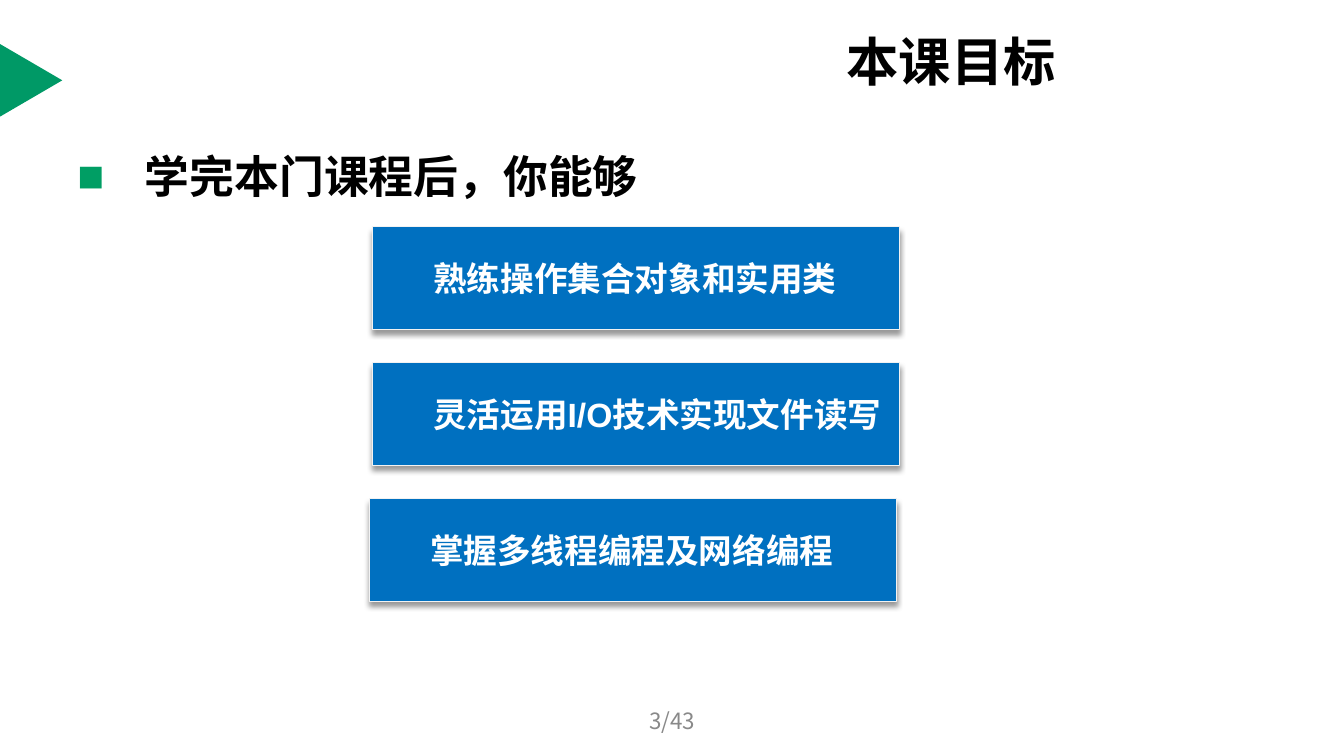
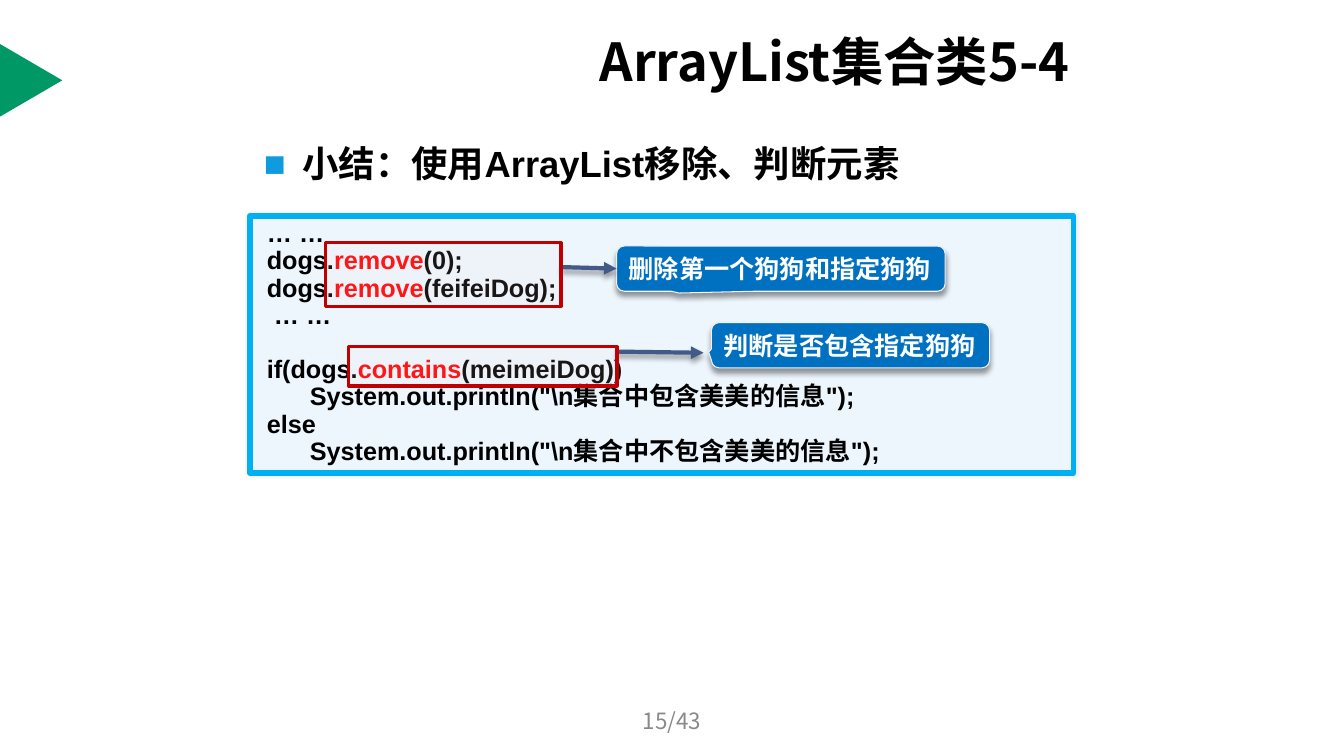
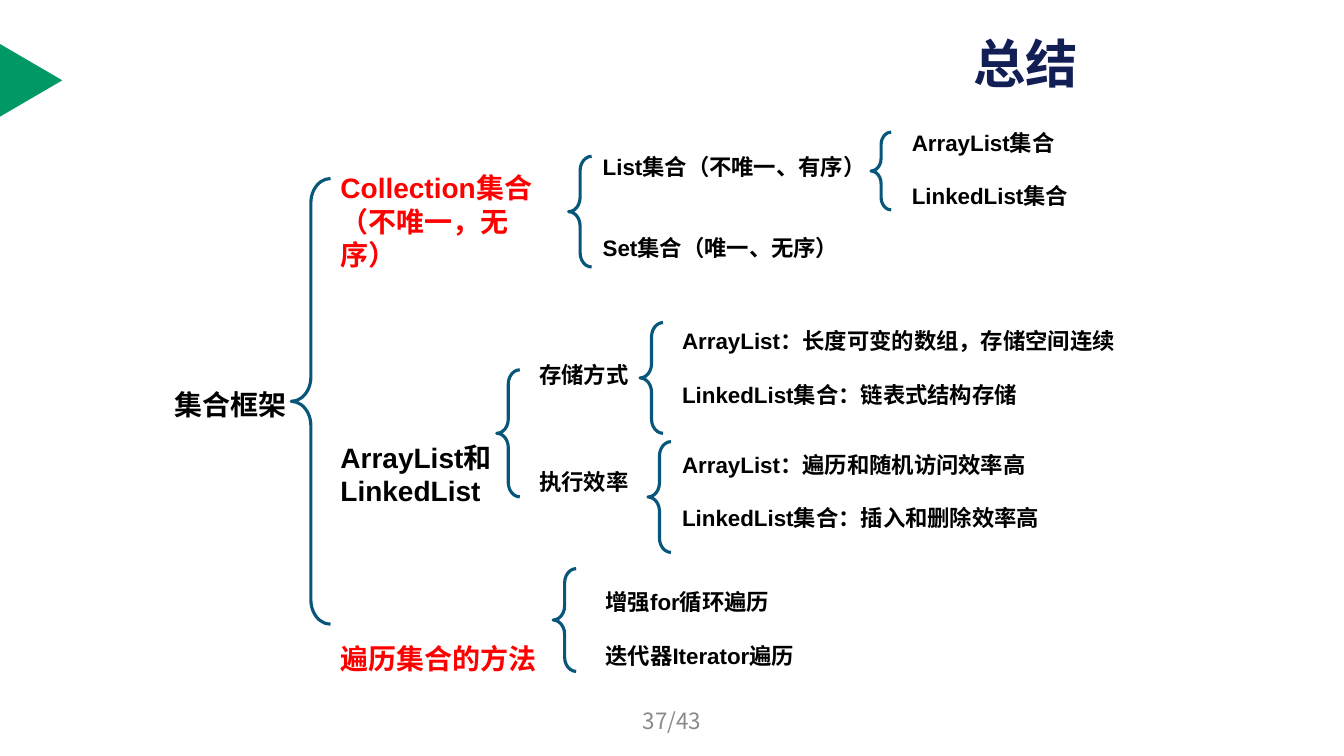
import dataclasses

import pptx
import pptx.dml.color
import pptx.enum.shapes
import pptx.enum.text
import pptx.oxml
import pptx.oxml.ns
import pptx.util

Cm = pptx.util.Cm
Pt = pptx.util.Pt
SHAPE = pptx.enum.shapes.MSO_SHAPE
ANCHOR = pptx.enum.text.MSO_ANCHOR
ALIGN = pptx.enum.text.PP_ALIGN
qn = pptx.oxml.ns.qn


@dataclasses.dataclass(frozen=True)
class Theme:
    head: str = "Noto Sans CJK SC"
    body: str = "Arial"
    black: str = "000000"
    white: str = "FFFFFF"
    grey: str = "898989"
    pale: str = "F2F2F2"
    navy: str = "121F55"
    blue: str = "0070C0"
    sky: str = "00B0F0"
    ice: str = "EDF5FD"
    steel: str = "415A86"
    brace: str = "08577A"
    red: str = "FF0000"
    frame: str = "C00000"
    blush: str = "FFDDDD"
    green: str = "009966"
    mark: str = "009E64"
    azure: str = "0E9CDE"
    title_size: float = 37.4
    lead_size: float = 32
    topic_size: float = 26
    box_size: float = 24
    node_size: float = 20
    code_size: float = 18
    leaf_size: float = 16


THEME = Theme()
TOTAL = 43


def rgb(code):
    return pptx.dml.color.RGBColor.from_string(code)


def child(parent, tag, **attrs):
    item = parent.makeelement(qn(tag), attrs)
    parent.append(item)
    return item


def style(para, size, color=THEME.black, font=THEME.body, bold=True):
    """Set one font on a paragraph, for Latin and East Asian text alike."""
    para.font.size = Pt(size)
    para.font.bold = bold
    para.font.name = font
    para.font.color.rgb = rgb(color)
    child(para.font._element, "a:ea", typeface=font)


def indent(para, left, first):
    props = para._p.get_or_add_pPr()
    props.set("marL", str(Cm(left)))
    props.set("indent", str(Cm(first)))


def bullet(para, color, left):
    indent(para, left, -left)
    props = para._p.get_or_add_pPr()
    child(child(props, "a:buClr"), "a:srgbClr", val=color)
    child(props, "a:buFont", typeface=THEME.body)
    child(props, "a:buChar", char="■")


def shade(item, alpha=40, blur=4, dist=3, angle=90):
    """Give a shape or connector an outer shadow; lengths are in points."""
    props = item._element.spPr
    effects = props.find(qn("a:effectLst"))
    if effects is None:
        effects = child(props, "a:effectLst")
    cast = child(effects, "a:outerShdw", blurRad=str(Pt(blur)), dist=str(Pt(dist)),
                 dir=str(angle * 60000), algn="ctr", rotWithShape="0")
    tint = child(cast, "a:srgbClr", val=THEME.black)
    child(tint, "a:alpha", val=str(alpha * 1000))


def add_form(slide, kind, place, fill=None, line=None, width=0.75, adjust=()):
    form = slide.shapes.add_shape(kind, *map(Cm, place))
    form.shadow.inherit = False
    if fill:
        form.fill.solid()
        form.fill.fore_color.rgb = rgb(fill)
    else:
        form.fill.background()
    if line:
        form.line.color.rgb = rgb(line)
        form.line.width = Pt(width)
    else:
        form.line.fill.background()
    for index, value in enumerate(adjust):
        form.adjustments[index] = value
    return form


def add_text(slide, place, text, anchor=ANCHOR.TOP):
    """Add a wrapping text box and return its first paragraph."""
    frame = slide.shapes.add_textbox(*map(Cm, place)).text_frame
    frame.word_wrap = True
    frame.vertical_anchor = anchor
    frame.text = text
    return frame.paragraphs[0]


def add_point(slide, place, text, size, color, left, font):
    para = add_text(slide, place, text)
    bullet(para, color, left)
    style(para, size, font=font)
    return para


def add_box(slide, kind, place, text, size, adjust=()):
    """Add a blue box with a shadow; return the shape and its paragraph."""
    box = add_form(slide, kind, place, THEME.blue, THEME.pale, adjust=adjust)
    shade(box)
    frame = box.text_frame
    frame.vertical_anchor = ANCHOR.MIDDLE
    frame.text = text
    para = frame.paragraphs[0]
    para.alignment = ALIGN.LEFT
    style(para, size, THEME.white)
    return box, para


def add_call(slide, place, text, adjust):
    box, _ = add_box(slide, SHAPE.ROUNDED_RECTANGULAR_CALLOUT, place, text,
                     THEME.code_size, adjust)
    box.text_frame.word_wrap = False
    return box


def add_arrow(slide, start, end, target=None):
    arrow = slide.shapes.add_connector(pptx.enum.shapes.MSO_CONNECTOR.STRAIGHT,
                                       *map(Cm, start + end))
    if target is not None:
        arrow.end_connect(target, 1)
    arrow.line.color.rgb = rgb(THEME.steel)
    arrow.line.width = Pt(3)
    child(arrow.line._get_or_add_ln(), "a:tailEnd", type="triangle")
    shade(arrow)


def add_frame(slide, place):
    frame = add_form(slide, SHAPE.RECTANGLE, place, THEME.blush, THEME.frame, 2.25)
    tint = frame._element.spPr.find(qn("a:solidFill"))[0]
    child(tint, "a:alpha", val="10000")


def add_code(slide, place, lines):
    """Lines are (before, marked, after, blank lines above)."""
    box = add_form(slide, SHAPE.ROUNDED_RECTANGLE, place, THEME.ice, THEME.sky, 4, (0,))
    shade(box, 10, 3, 0, 0)
    frame = box.text_frame
    frame.vertical_anchor = ANCHOR.TOP
    for index, (before, marked, after, skip) in enumerate(lines):
        para = frame.add_paragraph() if index else frame.paragraphs[0]
        para.alignment = ALIGN.LEFT
        tabs = child(para._p.get_or_add_pPr(), "a:tabLst")
        child(tabs, "a:tab", pos=str(Cm(1.26)), algn="l")
        para.line_spacing = 0.9
        if skip:
            para.space_before = Pt(skip * THEME.code_size * 1.08)
        style(para, THEME.code_size)
        for part in filter(None, (before, marked, after)):
            run = para.add_run()
            run.text = part
            if part == marked:
                run.font.color.rgb = rgb(THEME.red)


def add_label(slide, left, top, width, lines, size=THEME.leaf_size, skip=0,
              color=THEME.black, align=ALIGN.LEFT):
    """Stack lines of text, with the height of skip lines left between them."""
    pitch = size * 1.2
    rows = len(lines) + skip * (len(lines) - 1)
    height = Pt(rows * pitch).cm + 0.25
    first = add_text(slide, (left, top, width, height), "\n".join(lines))
    for index, para in enumerate(first._parent.paragraphs):
        para.alignment = align
        if index and skip:
            para.space_before = Pt(skip * pitch)
        style(para, size, color)


def add_page(deck, number, title, place, color=THEME.black):
    """Add a slide with the corner mark, title and page number."""
    slide = deck.slides.add_slide(deck.slide_layouts[6])
    mark = add_form(slide, SHAPE.ISOSCELES_TRIANGLE, (-0.13, 1.24, 1.83, 1.57),
                    THEME.green)
    mark.rotation = 90
    style(add_text(slide, place, title, ANCHOR.MIDDLE), THEME.title_size, color,
          THEME.head)
    para = add_text(slide, (11.58, 17.65, 10.72, 1.02), f"{number}/{TOTAL}",
                    ANCHOR.MIDDLE)
    para.alignment = ALIGN.CENTER
    style(para, THEME.leaf_size, THEME.grey, THEME.head, False)
    return slide


def make_goals(deck):
    slide = add_page(deck, 3, "本课目标", (21.08, 0.79, 8.05, 1.45))
    add_point(slide, (1.7, 3.63, 30.48, 13.39), "学完本门课程后，你能够",
              THEME.lead_size, THEME.mark, 1.7, THEME.head)
    goals = [
        (9.4, "熟练操作集合对象和实用类"),
        (9.4, "灵活运用I/O技术实现文件读写"),
        (9.32, "掌握多线程编程及网络编程"),
    ]
    for row, (left, text) in enumerate(goals):
        place = (left, 5.72 + row * 3.42, 13.28, 2.59)
        _, para = add_box(slide, SHAPE.RECTANGLE, place, text, THEME.box_size)
        indent(para, 2.06, -0.79)


def make_code(deck):
    slide = add_page(deck, 15, "ArrayList集合类5-4", (14.86, 0.79, 14.27, 1.45))
    add_code(slide, (6.3, 5.44, 20.75, 6.48), [
        (" … …", "", "", 0),
        (" dogs.", "remove", "(0);", 0),
        (" dogs.", "remove", "(feifeiDog);", 0),
        ("  … …", "", "", 0),
        (" if(dogs.", "contains", "(meimeiDog))", 1),
        ("\tSystem.out.println(\"\\n集合中包含美美的信息\");", "", "", 0),
        (" else", "", "", 0),
        ("\tSystem.out.println(\"\\n集合中不包含美美的信息\");", "", "", 0),
    ])
    drop = add_call(slide, (15.54, 6.2, 8.28, 1.14), "删除第一个狗狗和指定狗狗",
                    (-0.31, 0.54, 0.17))
    add_call(slide, (17.93, 8.13, 7.01, 1.14), "判断是否包含指定狗狗",
             (-0.51, 0.15, 0.17))
    add_arrow(slide, (14.15, 6.73), (15.54, 6.77), drop)
    add_arrow(slide, (15.54, 8.86), (17.73, 8.89))
    para = add_point(slide, (6.4, 3.56, 21.23, 1.42), "小结：使用ArrayList移除、判断元素",
                     THEME.topic_size, THEME.azure, 0.97, THEME.body)
    para.line_spacing = 0.9
    add_frame(slide, (8.2, 6.12, 5.94, 1.6))
    add_frame(slide, (8.79, 8.74, 6.76, 0.99))


def make_tree(deck):
    slide = add_page(deck, 37, "总结", (24.28, 0.76, 4.09, 1.63), THEME.navy)
    braces = [
        (7.34, 4.5, 0.99, 11.23),
        (14.33, 3.94, 0.58, 2.79),
        (21.95, 3.33, 0.51, 1.96),
        (12.52, 9.32, 0.58, 3.2),
        (16.13, 8.13, 0.58, 2.79),
        (16.33, 11.13, 0.58, 2.79),
        (13.94, 14.33, 0.58, 2.59),
    ]
    for place in braces:
        add_form(slide, SHAPE.LEFT_BRACE, place, line=THEME.brace, width=2.25,
                 adjust=(0.62, 0.5))

    add_label(slide, 3.28, 9.63, 5.05, ["集合框架"], THEME.node_size,
              align=ALIGN.CENTER)
    nodes = [
        (4.17, ["Collection集合", "（不唯一，无序）"], THEME.red),
        (10.97, ["ArrayList和LinkedList"], THEME.black),
        (16.05, ["遍历集合的方法"], THEME.red),
    ]
    for top, lines, color in nodes:
        add_label(slide, 8.33, top, 5.92, lines, THEME.node_size, color=color)

    leaves = [
        (14.94, 3.73, 8.41, 2, ["List集合（不唯一、有序）", "Set集合（唯一、无序）"]),
        (22.73, 3.12, 5.64, 1, ["ArrayList集合", "LinkedList集合"]),
        (13.34, 8.97, 10.46, 3, ["存储方式", "执行效率"]),
        (16.94, 8.13, 12.19, 1,
         ["ArrayList：长度可变的数组，存储空间连续", "LinkedList集合：链表式结构存储"]),
        (16.94, 11.23, 12.19, 1,
         ["ArrayList：遍历和随机访问效率高", "LinkedList集合：插入和删除效率高"]),
        (15.01, 14.7, 12.47, 1, ["增强for循环遍历", "迭代器Iterator遍历"]),
    ]
    for left, top, width, skip, lines in leaves:
        add_label(slide, left, top, width, lines, skip=skip)


def main():
    deck = pptx.Presentation()
    deck.slide_width = Cm(33.87)
    deck.slide_height = Cm(19.05)
    make_goals(deck)
    make_code(deck)
    make_tree(deck)
    deck.save("out.pptx")


if __name__ == "__main__":
    main()
